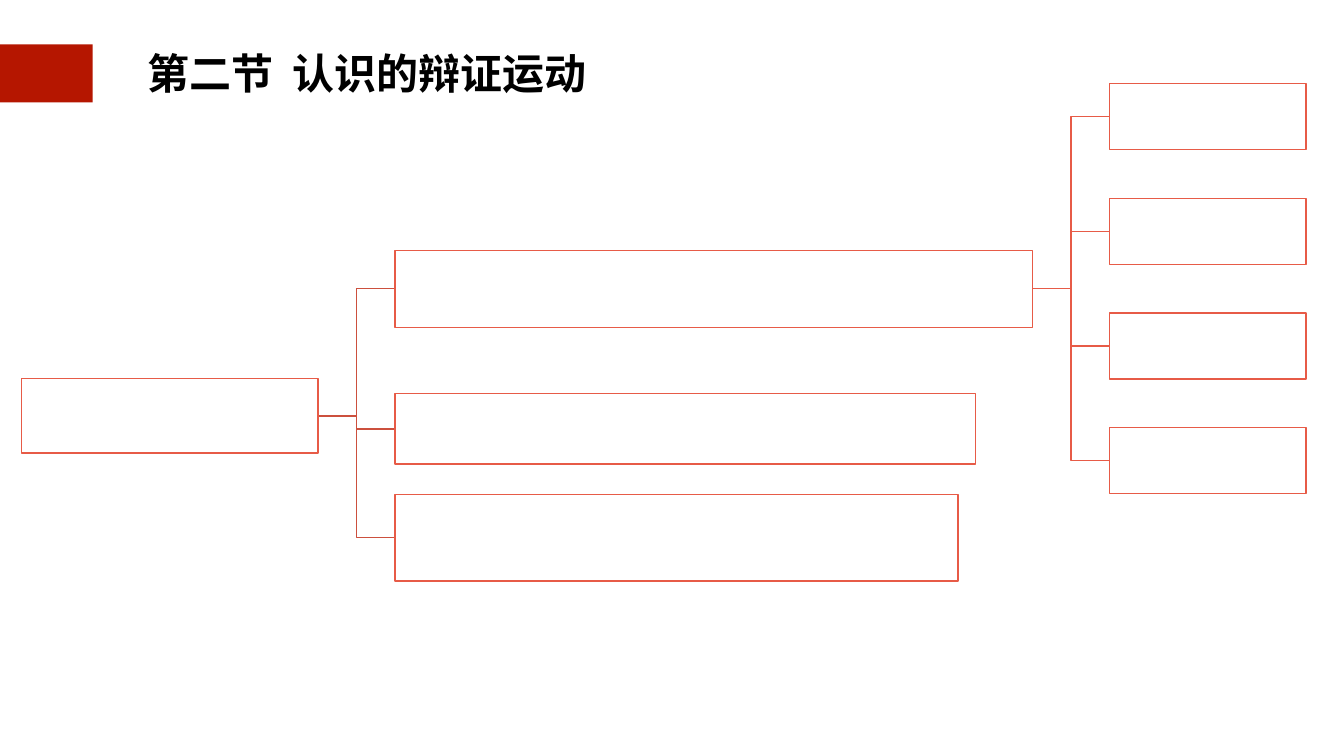
from pptx import Presentation
from pptx.dml.color import RGBColor
from pptx.enum.shapes import MSO_SHAPE as Preset
from pptx.enum.text import MSO_ANCHOR as Anchor, MSO_AUTO_SIZE as AutoSize, PP_ALIGN as Align
from pptx.util import Inches, Pt

COLORS = {"banner": "B51600", "title": "000000", "box": "FFFFFF",
          "line": "E75B47", "trunk": "CC503E"}

presentation = Presentation()
presentation.slide_width, presentation.slide_height = Inches(26.67), Inches(15)
slide = presentation.slides.add_slide(presentation.slide_layouts[6])


def add_box(left, middle, width, height, fill, line=None):
    """Add a rectangle centred vertically on middle."""
    shape = slide.shapes.add_shape(Preset.RECTANGLE, Inches(left), Inches(middle - height / 2),
                                   Inches(width), Inches(height))
    shape.shadow.inherit = False
    shape.fill.solid()
    shape.fill.fore_color.rgb = RGBColor.from_string(COLORS[fill])
    if line:
        shape.line.color.rgb = RGBColor.from_string(COLORS[line])
        shape.line.width = Pt(2)
    else:
        shape.line.fill.background()


def add_branch(start, end, color):
    """Add an elbow line that turns halfway between two points."""
    (x1, y1), (x2, y2) = start, end
    bend = (x1 + x2) / 2
    points = [(Inches(x), Inches(y)) for x, y in ((bend, y1), (bend, y2), (x2, y2))]
    builder = slide.shapes.build_freeform(Inches(x1), Inches(y1))
    builder.add_line_segments(points, close=False)
    shape = builder.convert_to_shape()
    shape.shadow.inherit = False
    shape.fill.background()
    shape.line.color.rgb = RGBColor.from_string(COLORS[color])
    shape.line.width = Pt(2)


# Title with its red banner
add_box(-0.03, 1.455, 1.87, 1.15, "banner")
title = slide.shapes.add_textbox(Inches(2.83), Inches(0.81), Inches(8.92), Inches(1.28))
text_frame = title.text_frame
text_frame.text = "第二节  认识的辩证运动"
text_frame.word_wrap = False
text_frame.auto_size = AutoSize.SHAPE_TO_FIT_TEXT
text_frame.vertical_anchor = Anchor.MIDDLE
text_frame.margin_left = text_frame.margin_right = Inches(0.06)
text_frame.margin_top = text_frame.margin_bottom = Inches(0.06)
paragraph = text_frame.paragraphs[0]
paragraph.alignment = Align.CENTER
font = paragraph.runs[0].font
font.name, font.size, font.bold = "Arial", Pt(60), True
font.color.rgb = RGBColor.from_string(COLORS["title"])

# Tree columns: root, topics and leaves, separated by equal gaps
GAP = 1.53
ROOT_LEFT, ROOT_WIDTH, ROOT_MIDDLE = 0.43, 5.88, 8.25
LEAF_WIDTH, LEAF_HEIGHT, LEAF_PITCH = 3.9, 1.31, 2.275
root_right = ROOT_LEFT + ROOT_WIDTH
topic_left = root_right + GAP
topics = [(5.73, 12.65, 1.53), (8.51, 11.52, 1.4), (10.67, 11.17, 1.72)]  # middle, width, height
first_middle, first_width, _ = topics[0]
first_right = topic_left + first_width
leaf_left = first_right + GAP
leaf_middles = [first_middle + (row - 1.5) * LEAF_PITCH for row in range(4)]

# Branches lie behind the boxes
for middle, _, _ in reversed(topics):
    add_branch((root_right, ROOT_MIDDLE), (topic_left, middle), "trunk")
for middle in reversed(leaf_middles):
    add_branch((first_right, first_middle), (leaf_left, middle), "line")

# Boxes
add_box(ROOT_LEFT, ROOT_MIDDLE, ROOT_WIDTH, 1.48, "box", "line")
for middle, width, height in topics:
    add_box(topic_left, middle, width, height, "box", "line")
for middle in leaf_middles:
    add_box(leaf_left, middle, LEAF_WIDTH, LEAF_HEIGHT, "box", "line")

presentation.save("out.pptx")
